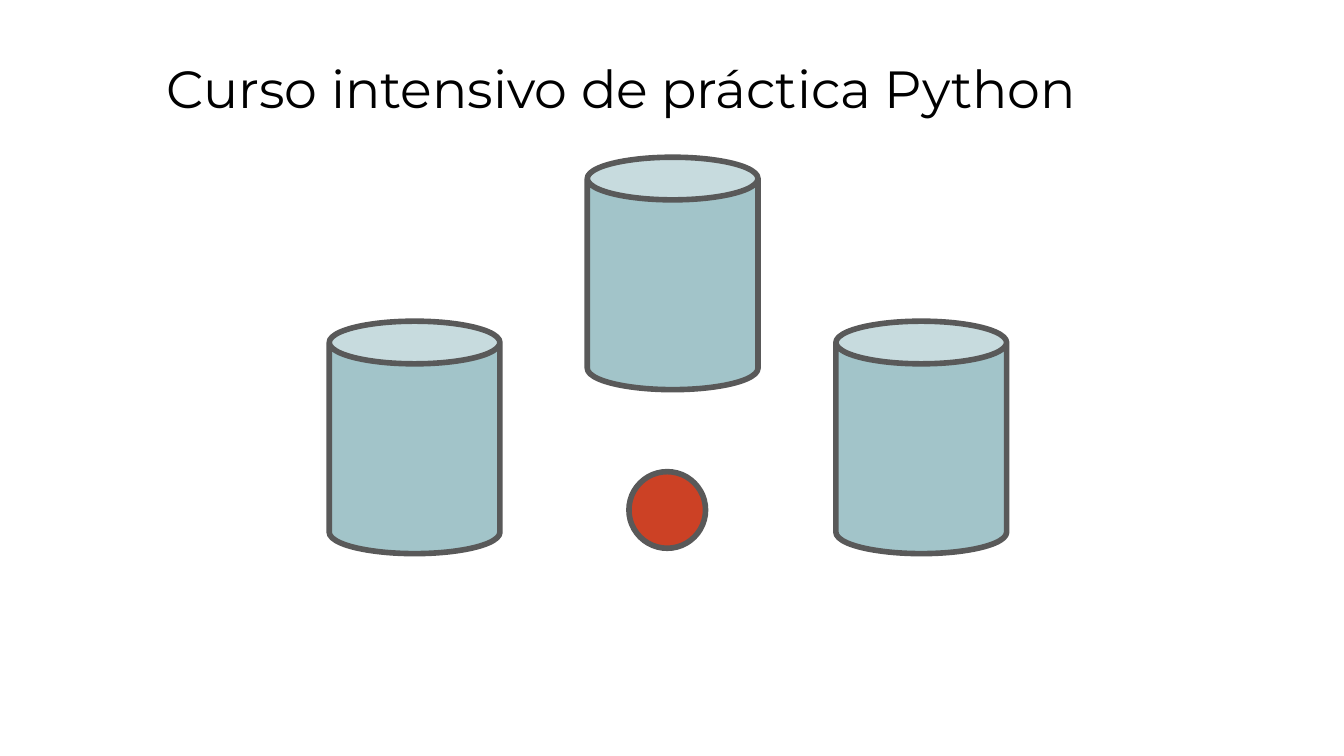
from pptx import Presentation
from pptx.dml.color import RGBColor
from pptx.enum.shapes import MSO_SHAPE
from pptx.enum.text import MSO_ANCHOR, MSO_AUTO_SIZE, PP_ALIGN
from pptx.util import Inches, Pt

CAN, BALL = MSO_SHAPE.CAN, MSO_SHAPE.OVAL
TOP, LEFT, NO_FIT = MSO_ANCHOR.TOP, PP_ALIGN.LEFT, MSO_AUTO_SIZE.NONE
CUP_SIZE = (1.27, 1.73)
CUP_OFFSETS = [(0, 1.22), (1.92, 0), (3.77, 1.22)]
BALL_OFFSET, BALL_SIZE = (2.23, 2.34), 0.57


def color(hex_value):
    return RGBColor.from_string(hex_value)


def write_text(frame, text, *, font, size, fill, align=LEFT):
    paragraph = frame.paragraphs[0]
    paragraph.alignment = align
    run = paragraph.add_run()
    run.text = text
    run.font.name = font
    run.font.size = Pt(size)
    run.font.color.rgb = color(fill)


def add_outlined(slide, preset, left, top, width, height, fill):
    figure = slide.shapes.add_shape(
        preset, Inches(left), Inches(top), Inches(width), Inches(height))
    figure.shadow.inherit = False
    figure.fill.solid()
    figure.fill.fore_color.rgb = color(fill)
    figure.line.color.rgb = color("595959")
    figure.line.width = Pt(3)
    return figure


def place_heading(slide, left, top, width, height):
    heading = slide.shapes.title
    heading.left, heading.top = Inches(left), Inches(top)
    heading.width, heading.height = Inches(width), Inches(height)
    frame = heading.text_frame
    frame.word_wrap = True
    frame.auto_size = NO_FIT
    frame.vertical_anchor = TOP
    frame.margin_left = frame.margin_right = Inches(0.1)
    frame.margin_top = frame.margin_bottom = Inches(0.1)
    write_text(frame, "Curso intensivo de práctica Python",
               font="Montserrat", size=28, fill="000000")


def place_shell_game(slide, left, top):
    for dx, dy in CUP_OFFSETS:
        cup = add_outlined(slide, CAN, left + dx, top + dy, *CUP_SIZE, "A2C4C9")
        cup.adjustments[0] = 0.25
    dx, dy = BALL_OFFSET
    add_outlined(slide, BALL, left + dx, top + dy, BALL_SIZE, BALL_SIZE, "CC4125")


def main():
    deck = Presentation()
    deck.slide_width, deck.slide_height = Inches(10), Inches(10 * 9 / 16)
    slide = deck.slides.add_slide(deck.slide_layouts[5])
    slide.background.fill.solid()
    slide.background.fill.fore_color.rgb = color("FFFFFF")
    place_heading(slide, 1.14, 0.32, 8.52, 0.63)
    place_shell_game(slide, 2.45, 1.17)
    deck.save("out.pptx")


main()
